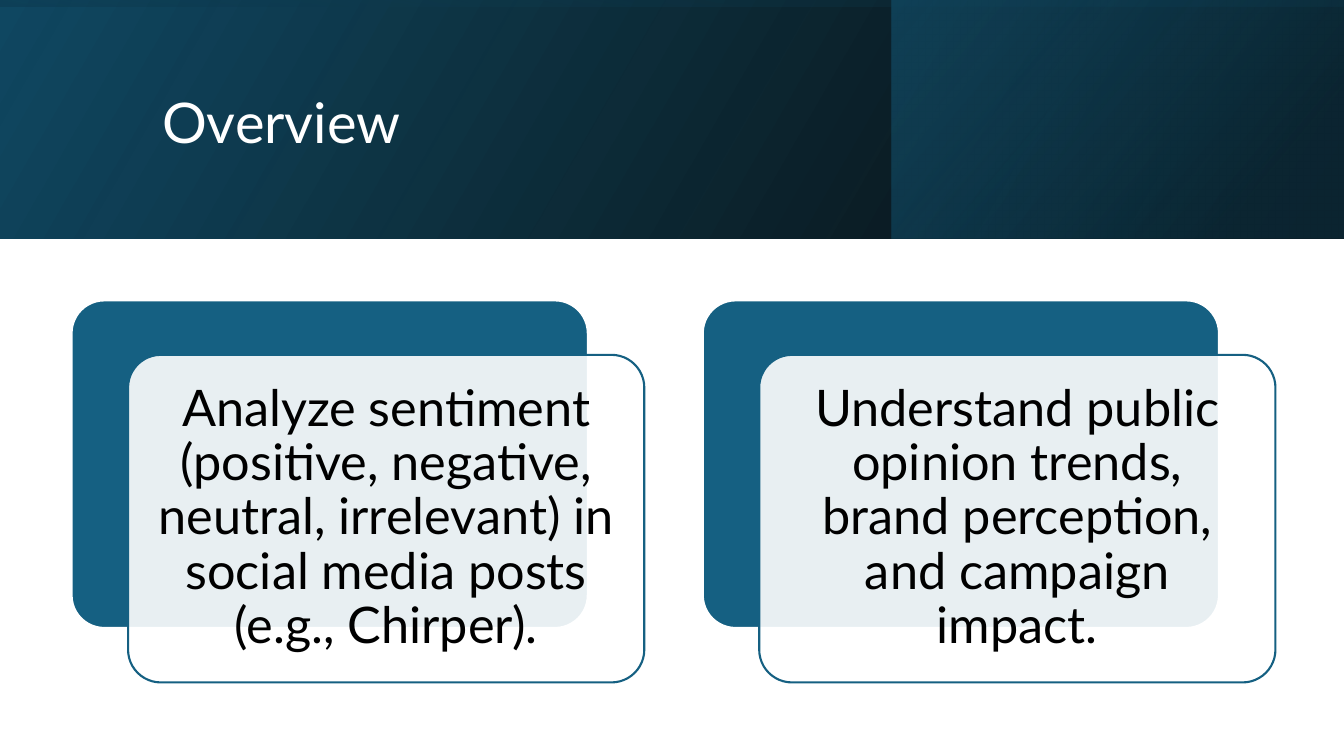
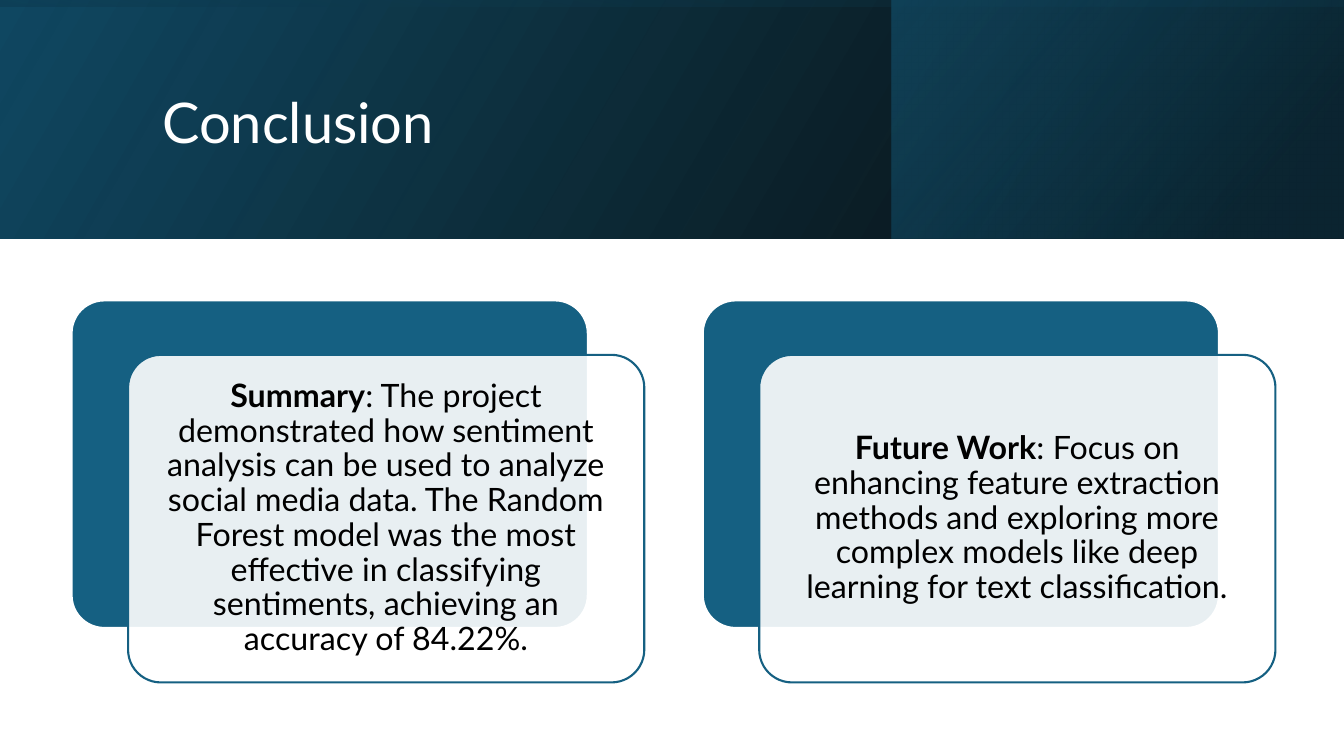
"""Build two slides with a gradient title band and a pair of layered cards."""
from dataclasses import dataclass

from lxml import etree
from pptx import Presentation
from pptx.dml.color import RGBColor
from pptx.enum.shapes import MSO_SHAPE
from pptx.enum.text import MSO_ANCHOR, PP_ALIGN
from pptx.oxml.ns import qn
from pptx.shapes.autoshape import Shape
from pptx.slide import Slide
from pptx.text.text import _Run
from pptx.util import Inches, Pt

RECT, ROUNDED = MSO_SHAPE.RECTANGLE, MSO_SHAPE.ROUNDED_RECTANGLE
LEFT, CENTER = PP_ALIGN.LEFT, PP_ALIGN.CENTER
MIDDLE = MSO_ANCHOR.MIDDLE

FONT = "Lato"
COLORS = {
    "white": "FFFFFF",
    "black": "000000",
    "teal": "156082",
    "blue": "104862",
    "navy": "0B3041",
}

SLIDE_W, SLIDE_H, BAND_H = 13.33, 7.5, 2.37
CARD_X, CARD_Y, CARD_W, CARD_H = 0.71, 2.98, 5.12, 3.25
CARD_PITCH, SHIFT_X, SHIFT_Y = 6.26, 0.56, 0.54


@dataclass(frozen=True)
class Stop:
    position: float
    color: str
    alpha: int


@dataclass(frozen=True)
class Band:
    x: float
    y: float
    w: float
    h: float
    angle: int
    stops: tuple[Stop, Stop]
    rotation: int = 0


@dataclass(frozen=True)
class Card:
    text: str
    lead: str = ""


@dataclass(frozen=True)
class Page:
    title: str
    size: int
    inset: float
    cards: tuple[Card, ...]


BANDS = (
    Band(0, 0, SLIDE_W, BAND_H, 330,
         (Stop(0, "black", 96), Stop(1, "blue", 100))),
    Band(8.84, 0, 4.49, BAND_H, 320,
         (Stop(0.19, "navy", 68), Stop(1, "teal", 48))),
    Band((SLIDE_W - BAND_H) / 2, (BAND_H - SLIDE_W) / 2, BAND_H, SLIDE_W, 350,
         (Stop(0.23, "blue", 16), Stop(0.99, "black", 45)), 270),
)

PAGES = (
    Page("Overview", 36, 0.15, (
        Card("Analyze sentiment (positive, negative, neutral, irrelevant) "
             "in social media posts (e.g., Chirper)."),
        Card("Understand public opinion trends, brand perception, "
             "and campaign impact."),
    )),
    Page("Conclusion", 23, 0.1, (
        Card(": The project demonstrated how sentiment analysis can be used "
             "to analyze social media data. The Random Forest model was the "
             "most effective in classifying sentiments, achieving an "
             "accuracy of 84.22%.", "Summary"),
        Card(": Focus on enhancing feature extraction methods and exploring "
             "more complex models like deep learning for text "
             "classification.", "Future Work"),
    )),
)


def rgb(name: str) -> RGBColor:
    return RGBColor.from_string(COLORS[name])


def set_alphas(sp: Shape, alphas: list[int]) -> None:
    colors = list(sp._element.spPr.iter(qn("a:srgbClr")))
    for color, alpha in zip(colors, alphas):
        if alpha < 100:
            etree.SubElement(color, qn("a:alpha")).set("val", str(alpha * 1000))


def style_run(r: _Run, size: int, color: str, bold: bool = False) -> None:
    r.font.name = FONT
    r.font.size = Pt(size)
    r.font.bold = bold
    r.font.color.rgb = rgb(color)


def add_band(slide: Slide, band: Band) -> None:
    sp = slide.shapes.add_shape(RECT, Inches(band.x), Inches(band.y),
                                Inches(band.w), Inches(band.h))
    sp.shadow.inherit = False
    sp.rotation = band.rotation
    sp._element.spPr.find(qn("a:xfrm")).set("flipH", "1")
    sp.fill.gradient()
    sp.fill.gradient_angle = 360 - band.angle
    for target, stop in zip(sp.fill.gradient_stops, band.stops):
        target.position = stop.position
        target.color.rgb = rgb(stop.color)
    set_alphas(sp, [stop.alpha for stop in band.stops])
    sp.line.fill.background()


def add_title(slide: Slide, text: str) -> None:
    title = slide.shapes.title
    slide.shapes._spTree.append(title._element)
    title.left, title.top = Inches(1.51), Inches(0.38)
    title.width, title.height = Inches(10.63), Inches(1.72)
    tf = title.text_frame
    tf.text = text
    tf.vertical_anchor = MIDDLE
    p = tf.paragraphs[0]
    p.alignment, p.line_spacing = LEFT, 0.9
    style_run(p.runs[0], 40, "white")


def add_panel(slide: Slide, x: float, y: float, fill: str, line: str) -> Shape:
    sp = slide.shapes.add_shape(ROUNDED, Inches(x), Inches(y),
                                Inches(CARD_W), Inches(CARD_H))
    sp.shadow.inherit = False
    sp.adjustments[0] = 0.1
    sp.fill.solid()
    sp.fill.fore_color.rgb = rgb(fill)
    sp.line.color.rgb = rgb(line)
    sp.line.width = Pt(1.5)
    return sp


def add_card(slide: Slide, x: float, card: Card, page: Page) -> None:
    add_panel(slide, x, CARD_Y, "teal", "white")
    sp = add_panel(slide, x + SHIFT_X, CARD_Y + SHIFT_Y, "white", "teal")
    set_alphas(sp, [90])
    tf = sp.text_frame
    tf.word_wrap = True
    tf.vertical_anchor = MIDDLE
    tf.margin_left = tf.margin_right = Inches(page.inset)
    tf.margin_top = tf.margin_bottom = Inches(page.inset)
    p = tf.paragraphs[0]
    p.alignment, p.line_spacing = CENTER, 0.9
    for text, bold in ((card.lead, True), (card.text, False)):
        if text:
            r = p.add_run()
            r.text = text
            style_run(r, page.size, "black", bold)


def add_page(prs: Presentation, page: Page) -> None:
    slide = prs.slides.add_slide(prs.slide_layouts[5])
    for band in BANDS:
        add_band(slide, band)
    add_title(slide, page.title)
    for i, card in enumerate(page.cards):
        add_card(slide, CARD_X + i * CARD_PITCH, card, page)


def main() -> None:
    prs = Presentation()
    prs.slide_width, prs.slide_height = Inches(SLIDE_W), Inches(SLIDE_H)
    for page in PAGES:
        add_page(prs, page)
    prs.save("out.pptx")


if __name__ == "__main__":
    main()
